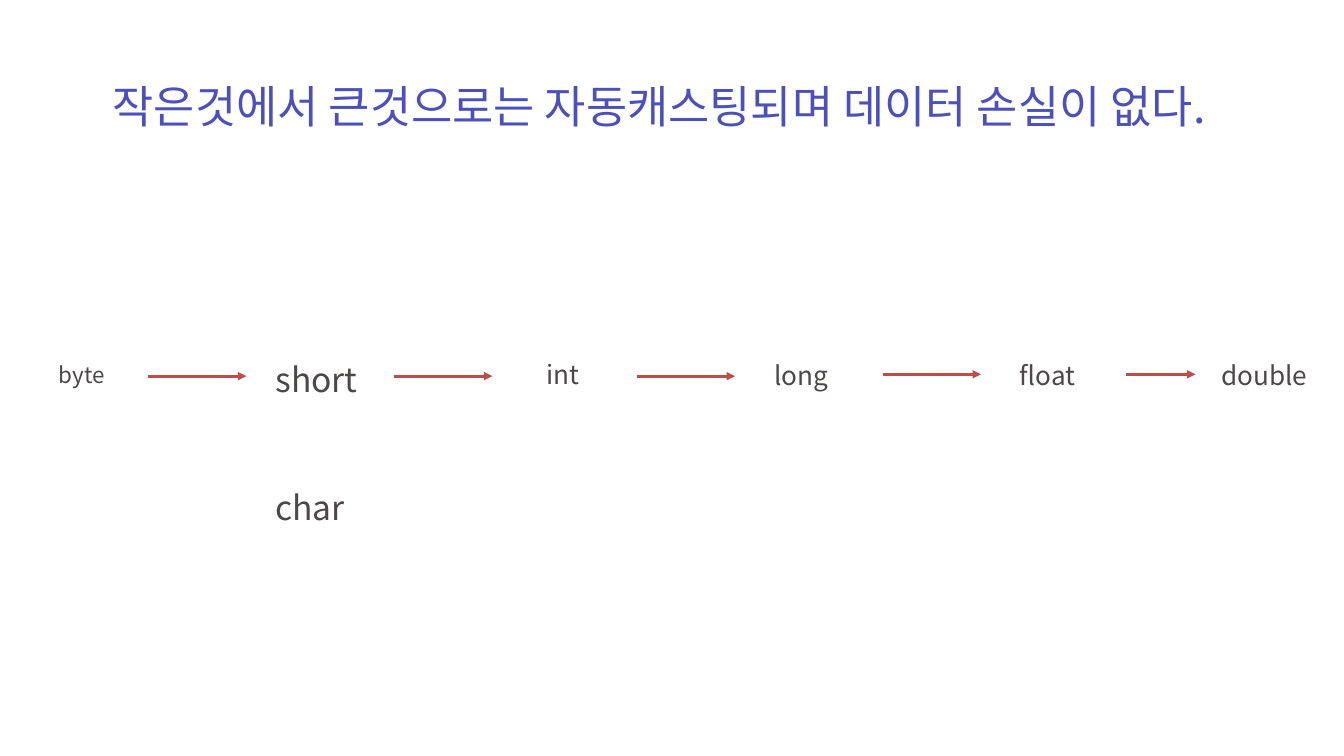
from typing import NamedTuple

from lxml.etree import SubElement
from pptx import Presentation
from pptx.dml.color import RGBColor
from pptx.enum.shapes import MSO_CONNECTOR as Link
from pptx.enum.text import MSO_ANCHOR as Anchor, MSO_AUTO_SIZE as Fit, PP_ALIGN as Align
from pptx.oxml.ns import qn
from pptx.util import Cm, Pt

FONT = "Noto Sans CJK KR"
GREY, RED, BLUE = "4D4848", "BF4C48", "4C50BB"


class Label(NamedTuple):
    text: str
    left: float
    top: float
    width: float
    height: float
    size: int = 28
    wrap: bool = False


class Arrow(NamedTuple):
    left: float
    y: float
    length: float = 3.7


LABELS = [
    Label("byte", 1.98, 13.51, 2.59, 1.27, 24),
    Label("short", 10.16, 13.44, 4.22, 1.8, 36),
    Label("char", 10.16, 18.29, 3.78, 1.8, 36),
    Label("int", 20.42, 13.44, 1.85, 1.45),
    Label("long", 29.01, 13.46, 2.84, 1.45),
    Label("float", 38.3, 13.46, 2.97, 1.45),
    Label("double", 45.92, 13.46, 4.24, 1.45, wrap=True),
]
ARROWS = [
    Arrow(5.61, 14.22),
    Arrow(14.91, 14.22),
    Arrow(24.08, 14.22),
    Arrow(33.38, 14.15),
    Arrow(42.55, 14.15, 2.64),
]


def paint(color: str) -> RGBColor:
    return RGBColor.from_string(color)


def write(shape, text: str, *, size: int, color: str, wrap: bool = False) -> None:
    frame = shape.text_frame
    frame.word_wrap = wrap
    frame.auto_size = Fit.SHAPE_TO_FIT_TEXT
    frame.vertical_anchor = Anchor.TOP
    para = frame.paragraphs[0]
    para.alignment = Align.LEFT
    run = para.add_run()
    run.text = text
    font = run.font
    font.name, font.size = FONT, Pt(size)
    font.color.rgb = paint(color)
    # Hangul takes its typeface from the East Asian slot
    SubElement(font._element, qn("a:ea"), typeface=FONT)


def draw_label(slide, label: Label) -> None:
    box = slide.shapes.add_textbox(
        Cm(label.left), Cm(label.top), Cm(label.width), Cm(label.height))
    write(box, label.text, size=label.size, color=GREY, wrap=label.wrap)


def draw_arrow(slide, arrow: Arrow) -> None:
    line = slide.shapes.add_connector(
        Link.STRAIGHT, Cm(arrow.left), Cm(arrow.y),
        Cm(arrow.left + arrow.length), Cm(arrow.y))
    line.line.color.rgb = paint(RED)
    line.line.width = Pt(3)
    SubElement(line.line._get_or_add_ln(), qn("a:tailEnd"), type="triangle")
    SubElement(line._element.spPr, qn("a:effectLst"))


def main() -> None:
    deck = Presentation()
    deck.slide_width, deck.slide_height = Cm(50.8), Cm(28.58)
    slide = deck.slides.add_slide(deck.slide_layouts[5])

    title = slide.shapes.title
    title.left, title.top = Cm(4.01), Cm(2.84)
    title.width, title.height = Cm(44.5), Cm(2.31)
    write(title, "작은것에서 큰것으로는 자동캐스팅되며 데이터 손실이 없다.", size=48, color=BLUE)

    for label in LABELS:
        draw_label(slide, label)
    for arrow in ARROWS:
        draw_arrow(slide, arrow)
    deck.save("out.pptx")


if __name__ == "__main__":
    main()
